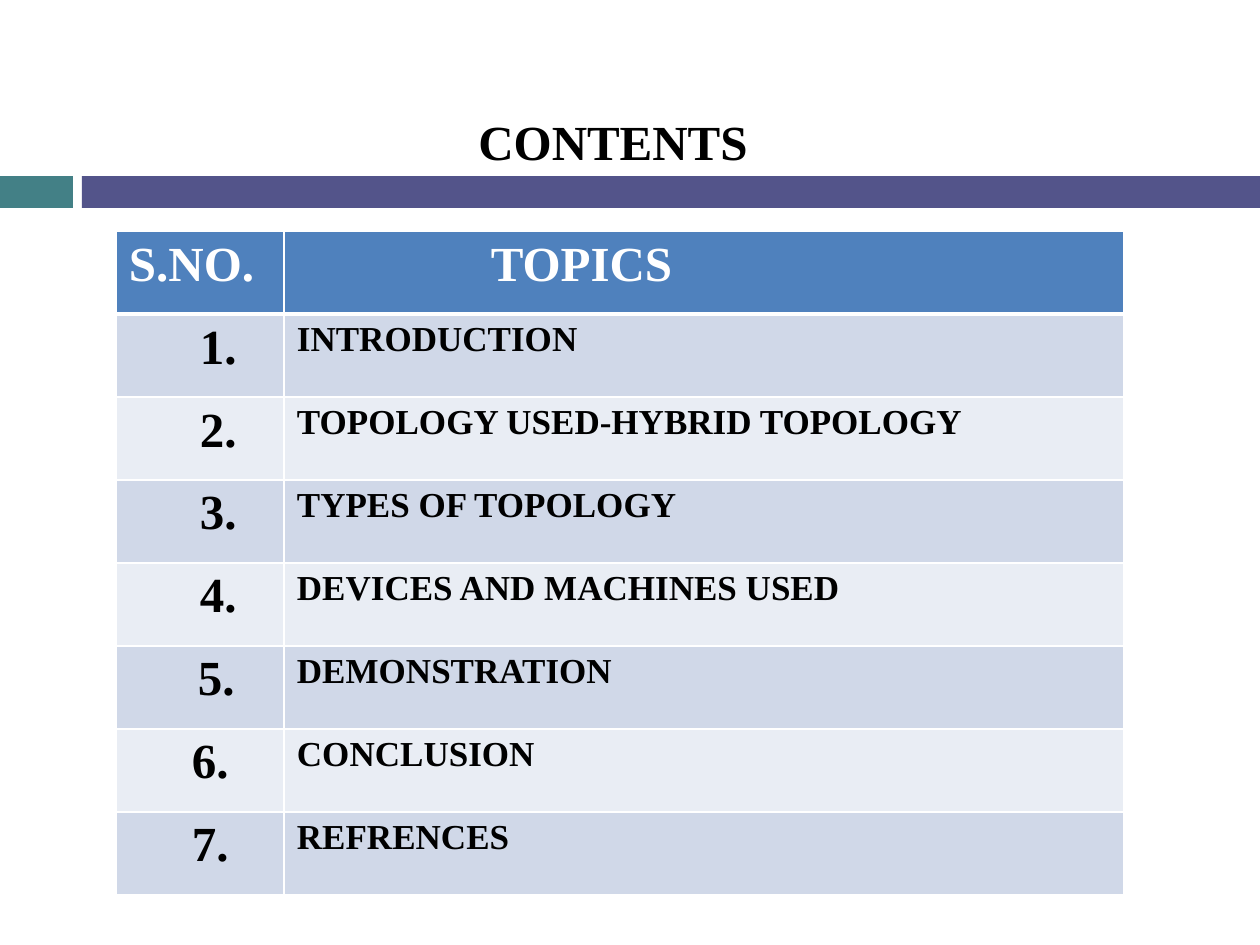
from lxml.etree import SubElement
from pptx import Presentation
from pptx.dml.color import RGBColor
from pptx.enum.shapes import MSO_SHAPE
from pptx.enum.text import MSO_ANCHOR, PP_ALIGN
from pptx.oxml.ns import qn
from pptx.util import Pt

PX = 914400 / 126
FONT = "Times New Roman"
BLACK = RGBColor(0x00, 0x00, 0x00)
WHITE = RGBColor(0xFF, 0xFF, 0xFF)
TEAL = RGBColor(0x43, 0x80, 0x86)
PURPLE = RGBColor(0x53, 0x54, 0x8A)
HEADER_BLUE = RGBColor(0x4F, 0x81, 0xBD)
BANDS = (RGBColor(0xD0, 0xD8, 0xE8), RGBColor(0xE9, 0xED, 0xF4))
COLUMN_WIDTHS = (168, 840)
ROW_HEIGHT = 83
CELL_MARGIN = 13
TOPICS_INDENT = 207
TOPICS = (
    ("1.", 84, "INTRODUCTION"),
    ("2.", 84, "TOPOLOGY USED-HYBRID TOPOLOGY"),
    ("3.", 84, "TYPES OF TOPOLOGY"),
    ("4.", 84, "DEVICES AND MACHINES USED"),
    ("5.", 82, "DEMONSTRATION"),
    ("6.", 76, "CONCLUSION"),
    ("7.", 76, "REFRENCES"),
)


def px(length):
    """Turn pixels into EMU."""
    return round(length * PX)


def write_text(frame, text, size=28, color=BLACK, align=PP_ALIGN.LEFT):
    """Write one bold formatted paragraph into a text frame."""
    paragraph = frame.paragraphs[0]
    paragraph.alignment = align
    run = paragraph.add_run()
    run.text = text
    run.font.name = FONT
    run.font.size = Pt(size)
    run.font.bold = True
    run.font.color.rgb = color


def add_bar(slide, left, width, color):
    """Add one piece of the band below the title."""
    bar = slide.shapes.add_shape(
        MSO_SHAPE.RECTANGLE, px(left), px(176), px(width), px(32))
    bar.shadow.inherit = False
    bar.fill.solid()
    bar.fill.fore_color.rgb = color
    bar.line.fill.background()


def add_title(slide, text):
    """Move the title placeholder and fill it."""
    title = slide.shapes.title
    title.left, title.top, title.width, title.height = map(px, (294, 105, 504, 72))
    frame = title.text_frame
    frame.margin_left, frame.margin_right = px(134), 0
    frame.vertical_anchor = MSO_ANCHOR.TOP
    write_text(frame, text, align=PP_ALIGN.CENTER)


def set_borders(cell, **widths):
    """Draw white cell borders, 1 pt unless a side is given."""
    properties = cell._tc.get_or_add_tcPr()
    for side in ("L", "R", "T", "B"):
        width = Pt(widths.get(side, 1))
        line = SubElement(properties, qn(f"a:ln{side}"), w=str(width))
        fill = SubElement(line, qn("a:solidFill"))
        SubElement(fill, qn("a:srgbClr"), val=str(WHITE))


def fill_cell(cell, text, fill, indent=CELL_MARGIN, borders=None, **text_format):
    """Give a cell its borders, fill, indent and text."""
    set_borders(cell, **(borders or {}))
    cell.fill.solid()
    cell.fill.fore_color.rgb = fill
    cell.margin_left = px(indent)
    write_text(cell.text_frame, text, **text_format)


def add_topics_table(slide):
    """Add the numbered table of topics."""
    row_count = len(TOPICS) + 1
    table = slide.shapes.add_table(
        row_count, 2, px(116), px(231),
        px(sum(COLUMN_WIDTHS)), px(ROW_HEIGHT * row_count)).table
    for column, width in zip(table.columns, COLUMN_WIDTHS):
        column.width = px(width)
    for row in table.rows:
        row.height = px(ROW_HEIGHT)
    headings = (("S.NO.", CELL_MARGIN), ("TOPICS", TOPICS_INDENT))
    for column, (text, indent) in enumerate(headings):
        fill_cell(table.cell(0, column), text, HEADER_BLUE, indent,
                  {"B": 3}, color=WHITE)
    for row, (number, indent, topic) in enumerate(TOPICS, start=1):
        band = BANDS[(row - 1) % 2]
        borders = {"T": 3} if row == 1 else None
        fill_cell(table.cell(row, 0), number, band, indent, borders)
        fill_cell(table.cell(row, 1), topic, band, borders=borders, size=20)


def main():
    """Build and save the contents slide."""
    presentation = Presentation()
    presentation.slide_width, presentation.slide_height = px(1260), px(945)
    slide = presentation.slides.add_slide(presentation.slide_layouts[5])
    add_bar(slide, 0, 73, TEAL)
    add_bar(slide, 82, 1178, PURPLE)
    add_title(slide, "CONTENTS")
    add_topics_table(slide)
    presentation.save("out.pptx")


if __name__ == "__main__":
    main()
